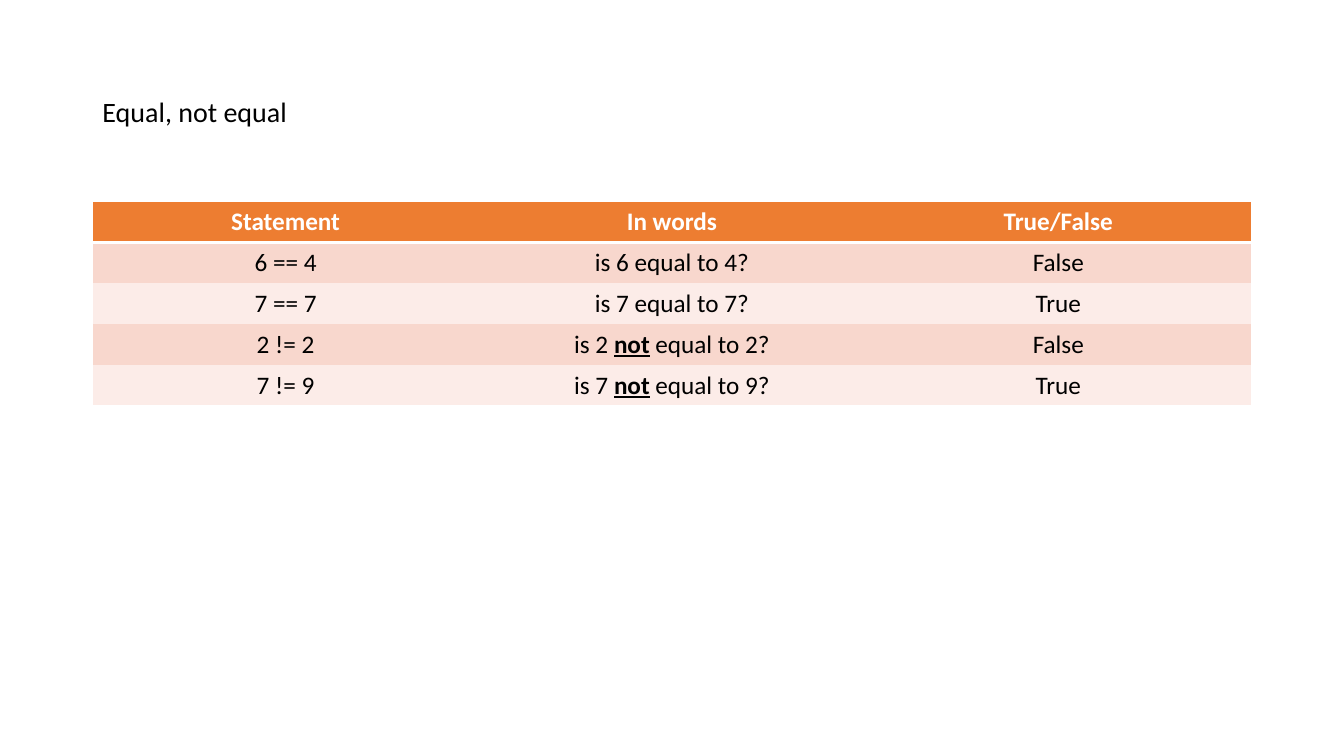
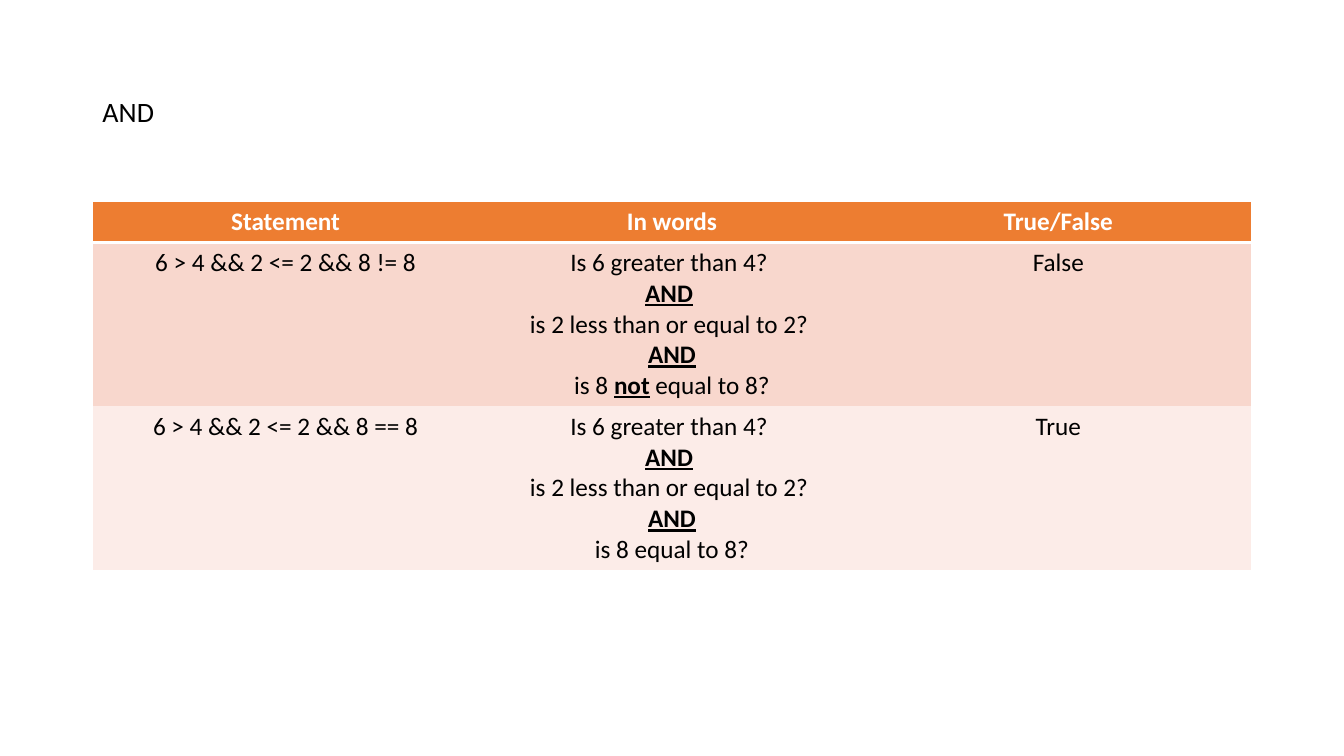
from lxml import etree
from pptx import Presentation
from pptx.dml.color import RGBColor
from pptx.enum import text as t
from pptx.oxml import ns
from pptx.util import Pt

BLACK = RGBColor(0x00, 0x00, 0x00)
WHITE = RGBColor(0xFF, 0xFF, 0xFF)
ORANGE = RGBColor(0xED, 0x7D, 0x31)
BANDS = (RGBColor(0xF8, 0xD7, 0xCD), RGBColor(0xFC, 0xEC, 0xE8))
FONT = "Calibri"
PLAIN_TABLE_STYLE = "{2D5ABB26-0587-4C30-8999-92F81FD0307C}"

SLIDE_SIZE = (960, 540)
TITLE_BOX = (66, 28.75, 828, 104.4)
TABLE_TOP = 144
ROW_HEIGHT = 29.2
EXTRA_LINE = 21.6
EDGE, HEADER_RULE = 1, 3

HEADER = ("Statement", "In words", "True/False")

# Text between asterisks is emphasised; each line becomes a paragraph.
AND_WORDS = "Is 6 greater than 4? \n*AND* \nis 2 less than or equal to 2? \n*AND*\n"
SLIDES = (
    ("Equal, not equal", (
        ("6 == 4", "is 6 equal to 4?", "False"),
        ("7 == 7", "is 7 equal to 7?", "True"),
        ("2 != 2", "is 2 *not* equal to 2?", "False"),
        ("7 != 9", "is 7 *not* equal to 9?", "True"),
    )),
    ("AND", (
        ("6 > 4 && 2 <= 2 && 8 != 8", AND_WORDS + "is 8 *not* equal to 8?", "False"),
        ("6 > 4 && 2 <= 2 && 8 == 8", AND_WORDS + "is 8 equal to 8?", "True"),
    )),
)


def add_run(paragraph, words, size, color, bold=False, underline=False):
    run = paragraph.add_run()
    run.text = words
    font = run.font
    font.name, font.size, font.bold, font.underline = FONT, Pt(size), bold, underline
    font.color.rgb = color


def add_title(slide, words, box):
    title = slide.shapes.title
    title.left, title.top, title.width, title.height = map(Pt, box)
    frame = title.text_frame
    frame.vertical_anchor = t.MSO_ANCHOR.MIDDLE
    frame.word_wrap = True
    paragraph = frame.paragraphs[0]
    paragraph.alignment = t.PP_ALIGN.LEFT
    paragraph.line_spacing = 0.9
    add_run(paragraph, words, 20, BLACK)


def set_borders(cell, widths):
    """Draw white borders; widths maps L, R, T, B to points, 0 meaning none."""
    properties = cell._tc.get_or_add_tcPr()
    for side in "LRTB":
        width = widths[side]
        line = etree.SubElement(properties, ns.qn("a:ln" + side), w=str(Pt(width)))
        if width:
            fill = etree.SubElement(line, ns.qn("a:solidFill"))
            etree.SubElement(fill, ns.qn("a:srgbClr"), val=str(WHITE))
        else:
            etree.SubElement(line, ns.qn("a:noFill"))


def fill_cell(cell, words, fill, color, bold):
    cell.fill.solid()
    cell.fill.fore_color.rgb = fill
    frame = cell.text_frame
    for number, line in enumerate(words.split("\n")):
        paragraph = frame.add_paragraph() if number else frame.paragraphs[0]
        paragraph.alignment = t.PP_ALIGN.CENTER
        for index, part in enumerate(line.split("*")):
            emphasised = index % 2 == 1
            if part:
                add_run(paragraph, part, 18, color, bold or emphasised, emphasised)


def add_truth_table(slide, statements, left, top, width):
    rows = (HEADER, *statements)
    heights = [ROW_HEIGHT + EXTRA_LINE * max(words.count("\n") for words in row)
               for row in rows]
    frame = slide.shapes.add_table(len(rows), len(HEADER), Pt(left), Pt(top),
                                   Pt(width), Pt(sum(heights)))
    table = frame.table
    table.horz_banding = False
    table._tbl.tblPr.find(ns.qn("a:tableStyleId")).text = PLAIN_TABLE_STYLE
    for column in table.columns:
        column.width = Pt(width / len(HEADER))

    last_row, last_column = len(rows) - 1, len(HEADER) - 1
    for r, row in enumerate(rows):
        table.rows[r].height = Pt(heights[r])
        is_header = r == 0
        fill = ORANGE if is_header else BANDS[(r - 1) % 2]
        for c, words in enumerate(row):
            cell = table.cell(r, c)
            set_borders(cell, {
                "L": EDGE if c == 0 else 0,
                "R": EDGE if c == last_column else 0,
                "T": EDGE if is_header else HEADER_RULE if r == 1 else 0,
                "B": HEADER_RULE if is_header else EDGE if r == last_row else 0,
            })
            fill_cell(cell, words, fill, WHITE if is_header else BLACK, is_header)


def add_operator_slide(deck, title, statements):
    slide = deck.slides.add_slide(deck.slide_layouts[5])
    add_title(slide, title, TITLE_BOX)
    left, _, width, _ = TITLE_BOX
    add_truth_table(slide, statements, left, TABLE_TOP, width)


def main():
    deck = Presentation()
    deck.slide_width, deck.slide_height = map(Pt, SLIDE_SIZE)
    for title, statements in SLIDES:
        add_operator_slide(deck, title, statements)
    deck.save("out.pptx")


if __name__ == "__main__":
    main()
